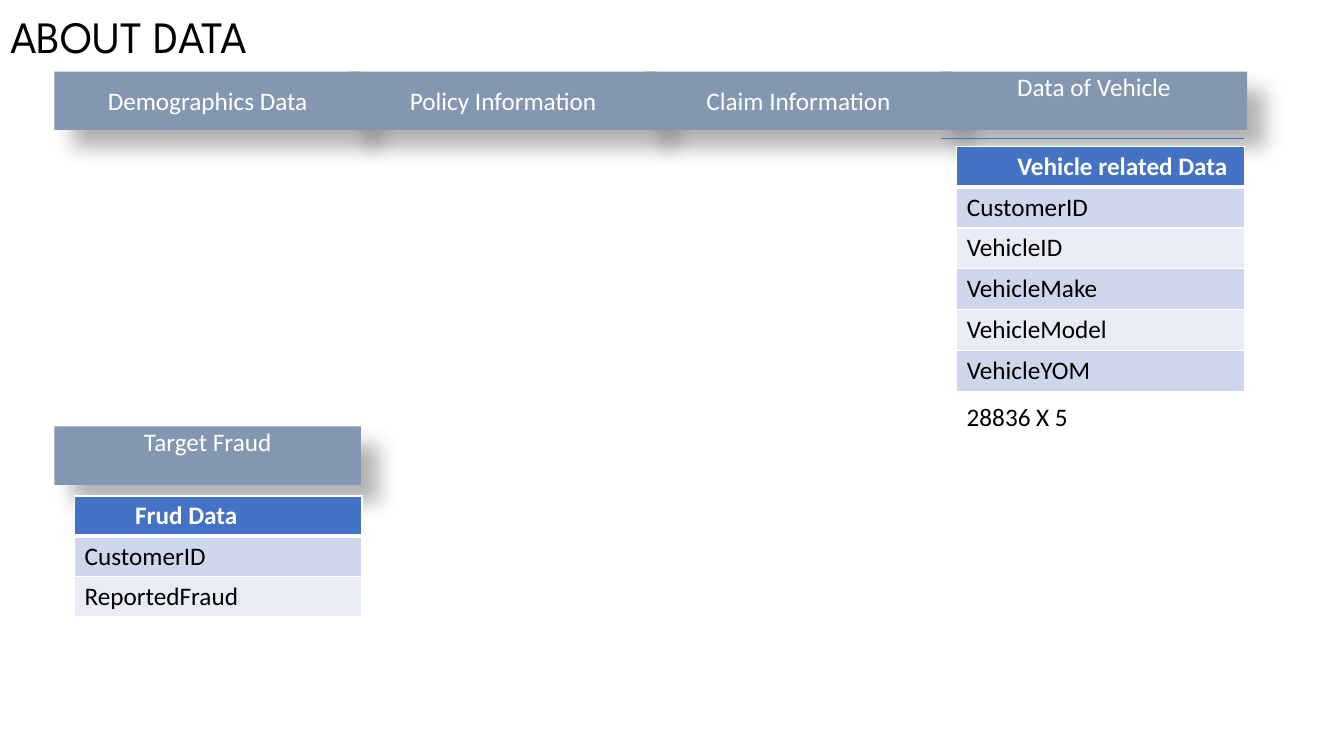
import pptx
import pptx.dml.color
import pptx.enum.shapes
import pptx.enum.text
import pptx.oxml
import pptx.oxml.ns
import pptx.util
import lxml.etree

WIDTH, HEIGHT = 13.33, 7.5
LEFT, STEP = 0.54, 2.93
BAND_TOPS = (0.71, 4.23)
BANNER_W, BANNER_H = 3.04, 0.58
TABLE_W, ROW_H = 2.85, 0.4
NS = pptx.oxml.ns.nsdecls("a")
ANCHOR = pptx.enum.text.MSO_ANCHOR
ALIGN = pptx.enum.text.PP_ALIGN


def rgb(value):
    return pptx.dml.color.RGBColor.from_string(value)


def inches(*values):
    return [pptx.util.Inches(v) for v in values]


def column(index):
    return LEFT + index * STEP


def style(p, color, size=18, font="Calibri", bold=False):
    for r in p.runs:
        r.font.name = font
        r.font.size = pptx.util.Pt(size)
        r.font.bold = bold
        r.font.color.rgb = rgb(color)


def add_title(slide, text):
    sp = slide.shapes.title
    sp.left, sp.top, sp.width, sp.height = inches(0, 0, 8.46, 0.77)
    tf = sp.text_frame
    tf.text = text
    tf.auto_size = pptx.enum.text.MSO_AUTO_SIZE.NONE
    tf.vertical_anchor = ANCHOR.MIDDLE
    p = tf.paragraphs[0]
    p.alignment = ALIGN.LEFT
    p.line_spacing = 0.9
    style(p, "000000", 32, "League Spartan")


def add_shadow(sp):
    sp.shadow.inherit = False
    effects = sp._element.spPr.find(pptx.oxml.ns.qn("a:effectLst"))
    blur, dist = pptx.util.Pt(15), pptx.util.Pt(18)
    effects.append(pptx.oxml.parse_xml(
        f'<a:outerShdw {NS} blurRad="{blur}" dist="{dist}" dir="2700000" '
        'algn="tl" rotWithShape="0"><a:srgbClr val="000000">'
        '<a:alpha val="30000"/></a:srgbClr></a:outerShdw>'))


def add_banner(slide, text, col, band, anchor=ANCHOR.MIDDLE):
    sp = slide.shapes.add_shape(
        pptx.enum.shapes.MSO_SHAPE.RECTANGLE,
        *inches(column(col), BAND_TOPS[band], BANNER_W, BANNER_H))
    sp.fill.solid()
    sp.fill.fore_color.rgb = rgb("8497B0")
    sp.line.fill.background()
    add_shadow(sp)
    tf = sp.text_frame
    tf.text = text
    tf.word_wrap = True
    tf.vertical_anchor = anchor
    tf.margin_top = tf.margin_bottom = 0
    p = tf.paragraphs[0]
    p.alignment = ALIGN.CENTER
    style(p, "FFFFFF")


def add_rule(slide, x1, x2, y):
    line = slide.shapes.add_connector(
        pptx.enum.shapes.MSO_CONNECTOR.STRAIGHT, *inches(x1, y, x2, y))
    line.line.color.rgb = rgb("4472C4")
    line.line.width = pptx.util.Pt(0.5)
    lxml.etree.SubElement(line._element.spPr, pptx.oxml.ns.qn("a:effectLst"))


def set_borders(cell, top, bottom):
    tc_pr = cell._tc.get_or_add_tcPr()
    for side, width in (("L", 1), ("R", 1), ("T", top), ("B", bottom)):
        tc_pr.append(pptx.oxml.parse_xml(
            f'<a:ln{side} {NS} w="{pptx.util.Pt(width)}"><a:solidFill>'
            f'<a:srgbClr val="FFFFFF"/></a:solidFill></a:ln{side}>'))


def add_field_table(slide, x, y, header, fields):
    rows = [header, *fields]
    table = slide.shapes.add_table(
        len(rows), 1, *inches(x, y, TABLE_W, ROW_H * len(rows))).table
    for i, text in enumerate(rows):
        cell = table.cell(i, 0)
        cell.text = text
        p = cell.text_frame.paragraphs[0]
        is_header = i == 0
        set_borders(cell, 3 if i == 1 else 1, 3 if is_header else 1)
        cell.fill.solid()
        if is_header:
            p.level = 1
            p._p.get_or_add_pPr().set("marL", str(pptx.util.Inches(0.5)))
            fill = "4472C4"
        else:
            fill = "CFD5EA" if i % 2 else "E9EBF5"
        cell.fill.fore_color.rgb = rgb(fill)
        style(p, "FFFFFF" if is_header else "000000", bold=is_header)


def add_note(slide, text, x, y):
    sp = slide.shapes.add_textbox(*inches(x, y, 2.17, 0.4))
    sp.text_frame.text = text
    sp.text_frame.word_wrap = True
    style(sp.text_frame.paragraphs[0], "000000")


def main():
    prs = pptx.Presentation()
    prs.slide_width, prs.slide_height = inches(WIDTH, HEIGHT)
    slide = prs.slides.add_slide(prs.slide_layouts[5])

    topics = ("Demographics Data", "Policy Information", "Claim Information")
    for col, topic in enumerate(topics):
        add_banner(slide, topic, col, 0)
    add_banner(slide, "Data of Vehicle", 3, 0, ANCHOR.TOP)
    add_title(slide, "ABOUT DATA")

    vehicle_x = column(3) + 0.16
    add_rule(slide, column(3), vehicle_x + TABLE_W, 1.37)
    add_field_table(slide, vehicle_x, 1.45, "Vehicle related Data",
                    ("CustomerID", "VehicleID", "VehicleMake",
                     "VehicleModel", "VehicleYOM"))
    add_note(slide, "28836 X 5", vehicle_x, 3.93)

    add_banner(slide, "Target Fraud", 0, 1, ANCHOR.TOP)
    add_field_table(slide, column(0) + 0.2, 4.92, "Frud Data",
                    ("CustomerID", "ReportedFraud"))
    prs.save("out.pptx")


if __name__ == "__main__":
    main()
